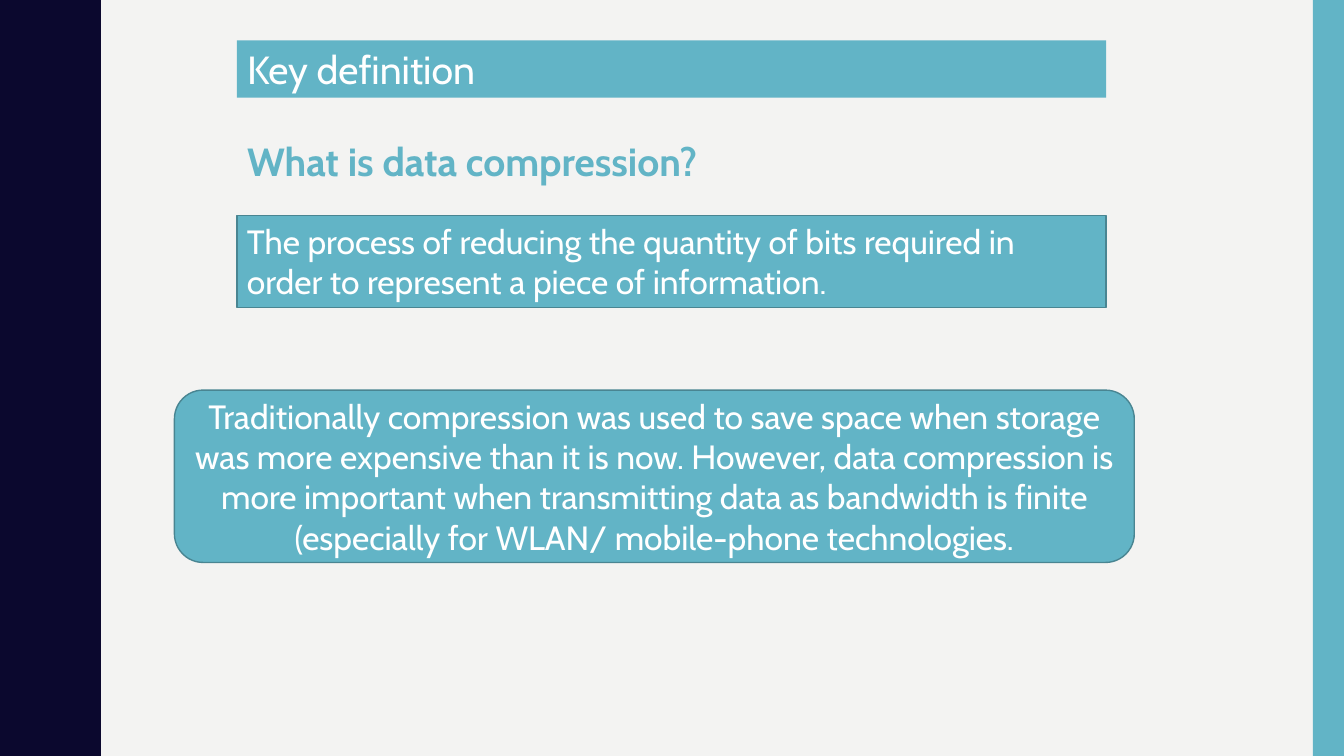
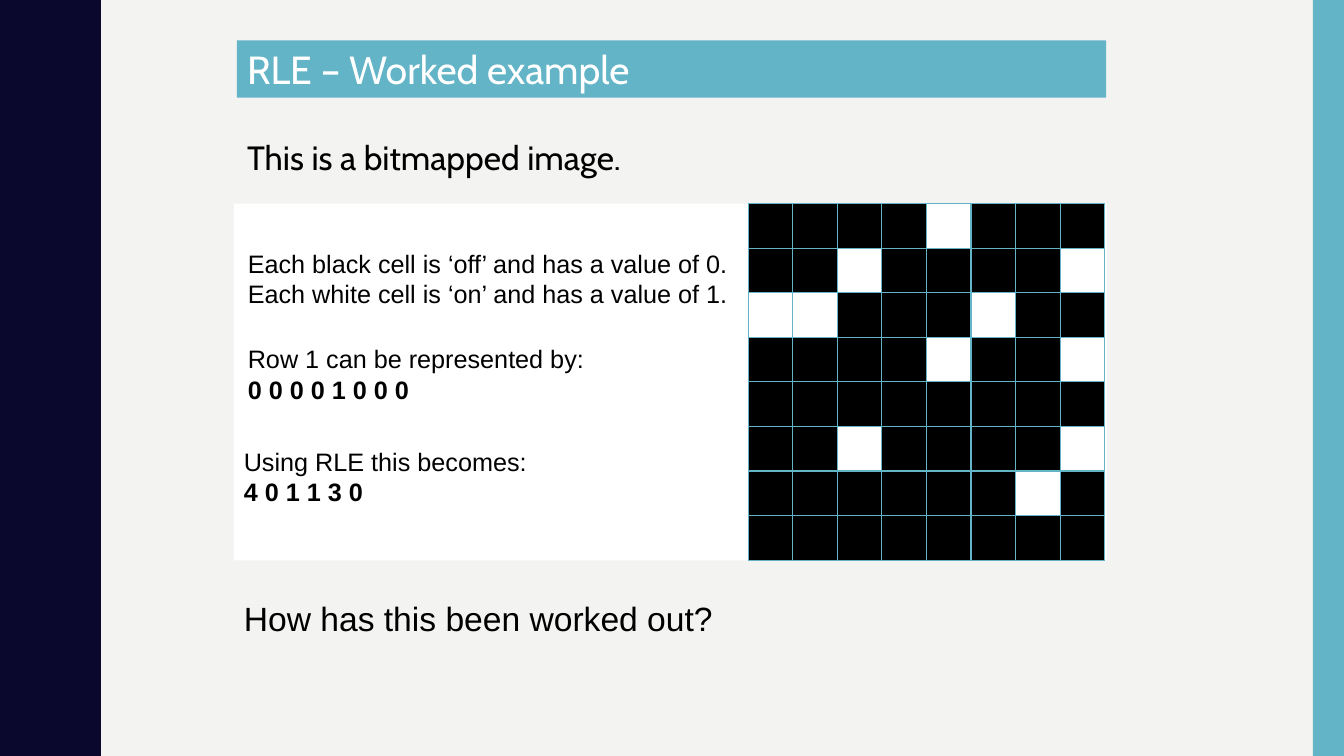
import pptx
import pptx.dml.color
import pptx.enum.shapes
import pptx.enum.text
import pptx.oxml
import pptx.oxml.ns
import pptx.util

Inches = pptx.util.Inches
RGBColor = pptx.dml.color.RGBColor
Shape = pptx.enum.shapes.MSO_SHAPE
Anchor = pptx.enum.text.MSO_ANCHOR
Align = pptx.enum.text.PP_ALIGN

NAVY = RGBColor(0x0B, 0x08, 0x2E)
TEAL = RGBColor(0x62, 0xB4, 0xC6)
DARK_TEAL = RGBColor(0x49, 0x85, 0x92)
PAPER = RGBColor(0xF3, 0xF3, 0xF2)
BLACK = RGBColor(0, 0, 0)
WHITE = RGBColor(0xFF, 0xFF, 0xFF)

HEADING_FONT = "Cabin"
PLAIN_FONT = "Arial"
WIDTH, HEIGHT = 13.33, 7.5
CONTENT_LEFT, CONTENT_WIDTH = 2.35, 8.62

WAVE_PERIOD = 1.5
WAVE_RISE = [
    (0.78, 0), (0.78, 0.07), (0.79, 0.14), (0.8, 0.2), (0.81, 0.25),
    (0.83, 0.29), (0.85, 0.33), (0.87, 0.38), (0.89, 0.42), (0.91, 0.46),
    (0.93, 0.5), (0.95, 0.55), (0.96, 0.61), (0.97, 0.68), (0.97, 0.75),
]

BITMAP = [
    "00001000",
    "00100001",
    "11000100",
    "00001001",
    "00000000",
    "00100001",
    "00000010",
    "00000000",
]


class Lesson:
    def __init__(self):
        self.deck = pptx.Presentation()
        self.deck.slide_width = Inches(WIDTH)
        self.deck.slide_height = Inches(HEIGHT)
        background = self.deck.slide_master.background.fill
        background.solid()
        background.fore_color.rgb = PAPER
        self.page = None

    def add_page(self, title):
        self.page = self.deck.slides.add_slide(self.deck.slide_layouts[1])
        self.wave()
        self.panel(13.02, 0, 0.31, HEIGHT, TEAL)
        box = self.page.shapes.title
        self.place(box, CONTENT_LEFT, 0.4, CONTENT_WIDTH, 0.57)
        self.paint(box, TEAL)
        self.add_text(box, [title], 28, HEADING_FONT, WHITE)

    def place(self, box, left, top, width, height):
        box.left, box.top = Inches(left), Inches(top)
        box.width, box.height = Inches(width), Inches(height)

    def paint(self, shape, color, line=None):
        shape.fill.solid()
        shape.fill.fore_color.rgb = color
        if line is None:
            shape.line.fill.background()
        else:
            shape.line.color.rgb = line
            shape.line.width = pptx.util.Pt(1)

    def add_text(self, box, lines, size, font, color, bold_lines=(),
                 align=Align.LEFT, anchor=Anchor.TOP, wrap=True):
        frame = box.text_frame
        frame.word_wrap = wrap
        frame.auto_size = pptx.enum.text.MSO_AUTO_SIZE.NONE
        frame.vertical_anchor = anchor
        for index, line in enumerate(lines):
            para = frame.add_paragraph() if index else frame.paragraphs[0]
            para.alignment = align
            span = para.add_run()
            span.text = line
            span.font.size = pptx.util.Pt(size)
            span.font.name = font
            span.font.color.rgb = color
            span.font.bold = index in bold_lines

    def wave(self):
        points = [(WAVE_RISE[0][0], 0)]
        for crest in range(round(HEIGHT / WAVE_PERIOD)):
            start = crest * WAVE_PERIOD
            points += [(x, start + y) for x, y in WAVE_RISE[1:]]
            points += [(x, start + WAVE_PERIOD - y) for x, y in WAVE_RISE[-2::-1]]
        points.append((0, HEIGHT))
        builder = self.page.shapes.build_freeform(0, 0, scale=Inches(1))
        builder.add_line_segments(points, close=True)
        edge = builder.convert_to_shape()
        edge.shadow.inherit = False
        self.paint(edge, NAVY)

    def panel(self, left, top, width, height, color, line=None,
              kind=Shape.RECTANGLE):
        shape = self.page.shapes.add_shape(
            kind, Inches(left), Inches(top), Inches(width), Inches(height))
        shape.shadow.inherit = False
        self.paint(shape, color, line)
        return shape

    def lead(self, line, width, height, size, color, bold=False):
        box = self.page.placeholders[1]
        self.place(box, CONTENT_LEFT, 1.31, width, height)
        self.add_text(box, [line], size, HEADING_FONT, color,
                      (0,) if bold else ())
        properties = box.text_frame.paragraphs[0]._p.get_or_add_pPr()
        properties.set("marL", "0")
        properties.set("indent", "0")
        properties.append(pptx.oxml.parse_xml(
            f"<a:buNone {pptx.oxml.ns.nsdecls('a')}/>"))

    def note(self, left, top, width, height, lines, size=18, bold_lines=(),
             wrap=True):
        box = self.page.shapes.add_textbox(
            Inches(left), Inches(top), Inches(width), Inches(height))
        self.add_text(box, lines, size, PLAIN_FONT, BLACK, bold_lines, wrap=wrap)

    def callout(self, left, top, width, height, line, kind=Shape.RECTANGLE,
                **style):
        shape = self.panel(left, top, width, height, TEAL, DARK_TEAL, kind)
        self.add_text(shape, [line], 24, HEADING_FONT, WHITE, **style)

    def bitmap(self, left, top, side, rows):
        count = len(rows)
        table = self.page.shapes.add_table(
            count, count, Inches(left), Inches(top),
            Inches(side), Inches(side)).table
        table.first_row = False
        table.horz_banding = False
        for row_index, row in enumerate(rows):
            for column_index, bit in enumerate(row):
                cell = table.cell(row_index, column_index)
                cell.fill.solid()
                cell.fill.fore_color.rgb = WHITE if bit == "1" else BLACK
                self.border(cell)

    def border(self, cell):
        properties = cell._tc.get_or_add_tcPr()
        for index, side in enumerate(("lnL", "lnR", "lnT", "lnB")):
            properties.insert(index, pptx.oxml.parse_xml(
                f"<a:{side} {pptx.oxml.ns.nsdecls('a')} w='12700'>"
                f"<a:solidFill><a:srgbClr val='{TEAL}'/></a:solidFill>"
                f"</a:{side}>"))


def definition_page(lesson):
    lesson.add_page("Key definition")
    lesson.lead("What is data compression?", CONTENT_WIDTH, 0.94, 28, TEAL, True)
    lesson.callout(
        CONTENT_LEFT, 2.14, CONTENT_WIDTH, 0.91,
        "The process of reducing the quantity of bits required in order to "
        "represent a piece of information.")
    lesson.callout(
        1.73, 3.87, 9.52, 1.71,
        "Traditionally compression was used to save space when storage was "
        "more expensive than it is now. However, data compression is more "
        "important when transmitting data as bandwidth is finite (especially "
        "for WLAN/ mobile-phone technologies.",
        kind=Shape.ROUNDED_RECTANGLE, align=Align.CENTER, anchor=Anchor.MIDDLE)


def example_page(lesson):
    lesson.add_page("RLE – Worked example")
    lesson.lead("This is a bitmapped image.", 4.89, 0.71, 24, BLACK)
    lesson.panel(2.32, 2.02, 8.66, 3.54, WHITE)
    lesson.bitmap(7.42, 2.02, 3.54, BITMAP)
    lesson.note(2.36, 2.41, 5.1, 0.71, [
        "Each black cell is ‘off’ and has a value of 0.",
        "Each white cell is ‘on’ and has a value of 1."])
    lesson.note(2.36, 3.36, 3.54, 0.71, [
        "Row 1 can be represented by:", " ".join(BITMAP[0])], bold_lines=(1,))
    lesson.note(2.32, 4.38, 3.54, 0.71, [
        "Using RLE this becomes:", "4 0 1 1 3 0"], bold_lines=(1,))
    lesson.note(2.32, 5.88, 4.9, 0.5, ["How has this been worked out?"],
                size=24, wrap=False)


def main():
    lesson = Lesson()
    definition_page(lesson)
    example_page(lesson)
    lesson.deck.save("out.pptx")


if __name__ == "__main__":
    main()
